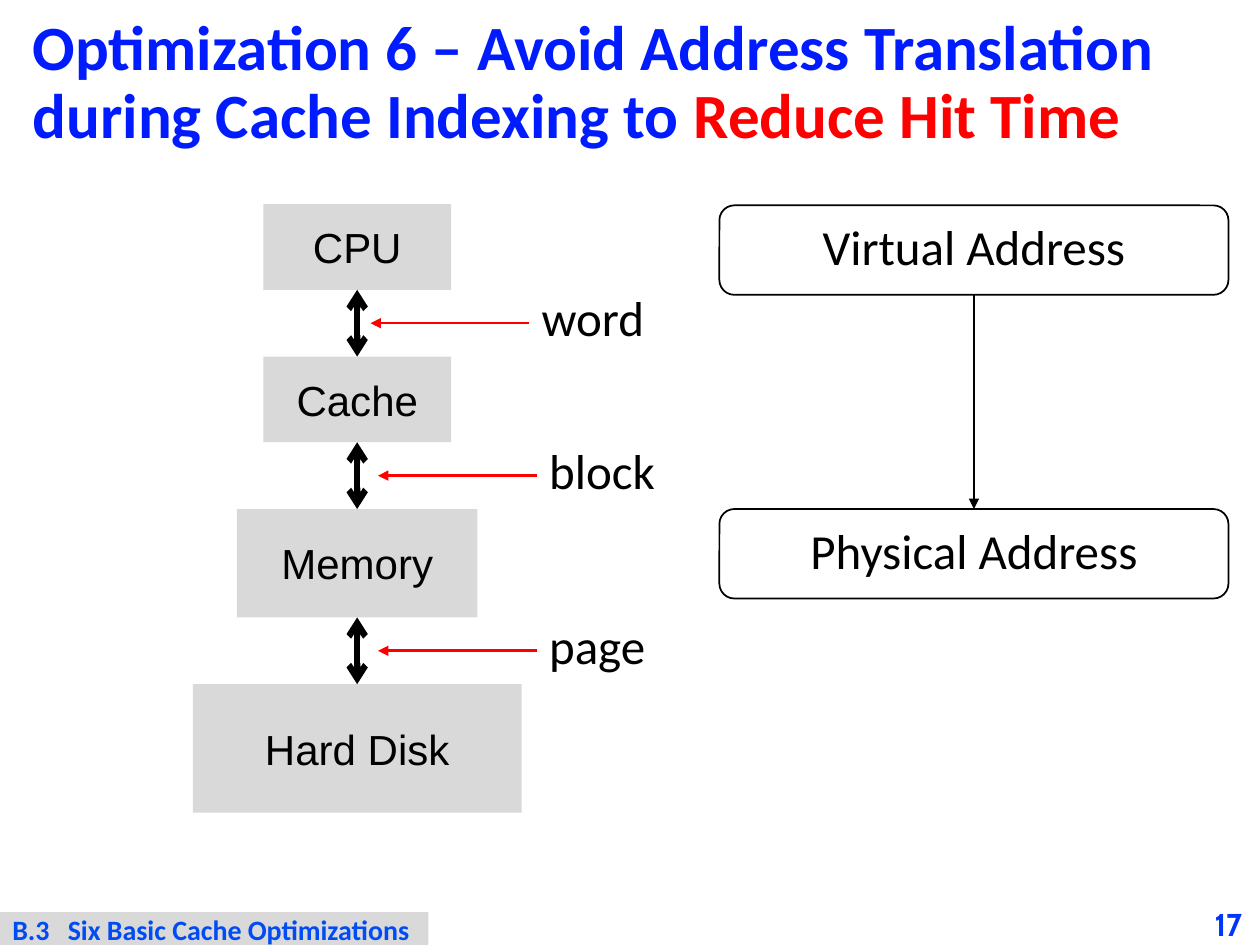
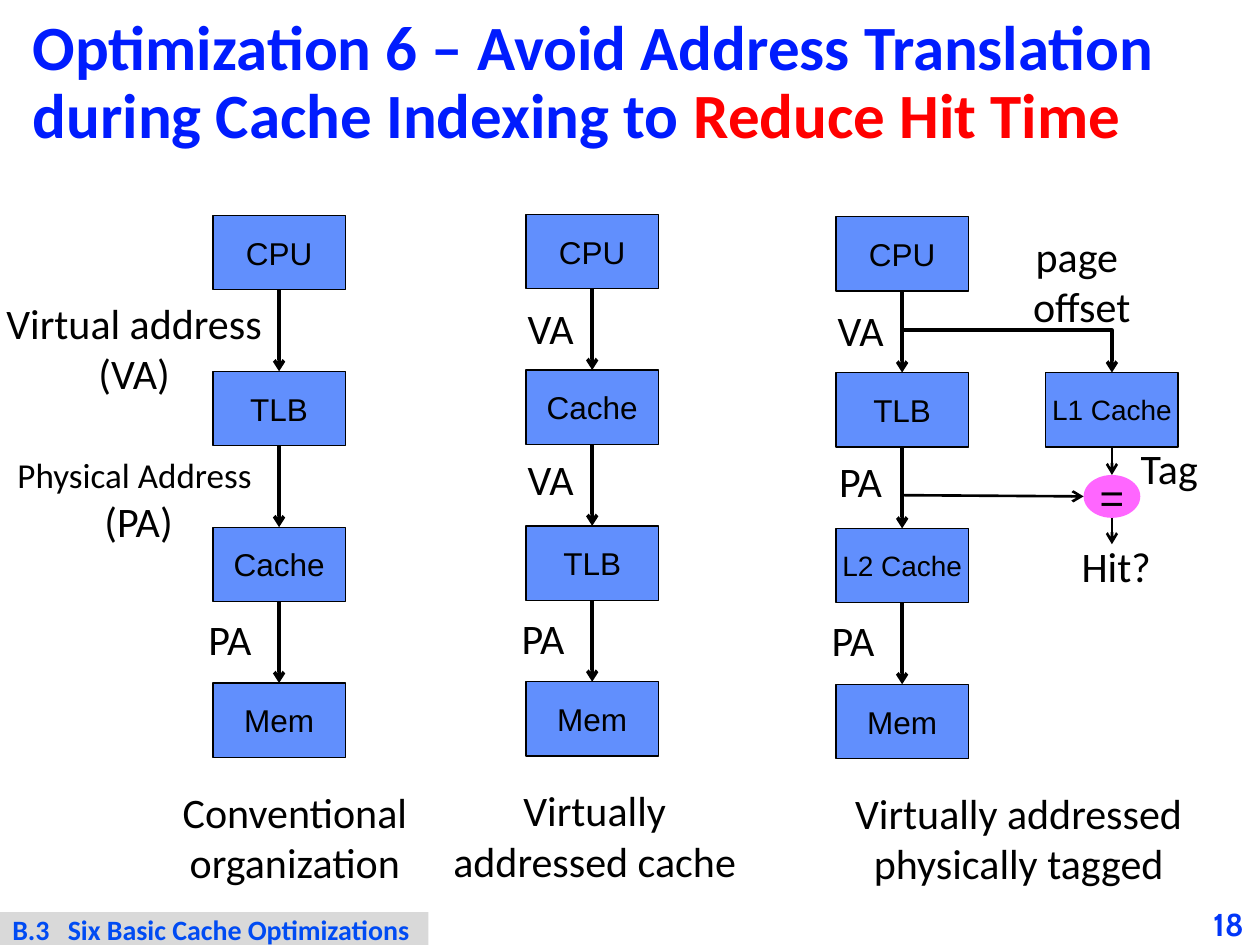
from dataclasses import dataclass
from itertools import pairwise

from lxml.etree import SubElement
from pptx import Presentation
from pptx.dml.color import RGBColor
from pptx.enum.shapes import MSO_CONNECTOR, MSO_SHAPE
from pptx.enum.text import MSO_ANCHOR, MSO_AUTO_SIZE, PP_ALIGN
from pptx.oxml.ns import qn
from pptx.util import Inches, Pt


@dataclass(frozen=True)
class Theme:
    heading: str = "001CFE"
    accent: str = "FF0000"
    section: str = "004BF3"
    page: str = "0136F8"
    ink: str = "000000"
    paper: str = "FFFFFF"
    grey: str = "D9D9D9"
    blue: str = "618FFD"
    pink: str = "FF66FF"
    text_font: str = "Calibri"
    node_font: str = "Arial"
    page_font: str = "Cabin"
    title_size: int = 36
    large: int = 28
    medium: int = 24
    small: int = 20
    node_size: int = 18
    fine: int = 16


THEME = Theme()
WIDTH, HEIGHT = Inches(10), Inches(7.5)
COLUMN, ROW = WIDTH / 100, HEIGHT / 75


@dataclass(frozen=True)
class Box:
    left: float
    top: float
    width: float
    height: float

    def inside(self, column, row, width, height):
        return Box(self.left + column, self.top + row, width, height)

    def point(self, column, row):
        return self.left + column, self.top + row

    def emu(self):
        return (round(self.left * COLUMN), round(self.top * ROW),
                round(self.width * COLUMN), round(self.height * ROW))


def write(frame, *paragraphs, size=THEME.medium, font=THEME.text_font,
          color=THEME.ink, bold=False, align=PP_ALIGN.CENTER,
          anchor=MSO_ANCHOR.TOP, wrap=True, spacing=None, margins=(0.1, 0.05)):
    frame.auto_size = MSO_AUTO_SIZE.NONE
    frame.word_wrap = wrap
    frame.vertical_anchor = anchor
    frame.margin_left = frame.margin_right = Inches(margins[0])
    frame.margin_top = frame.margin_bottom = Inches(margins[1])
    for index, content in enumerate(paragraphs):
        paragraph = frame.add_paragraph() if index else frame.paragraphs[0]
        paragraph.alignment = align
        if spacing:
            paragraph.line_spacing = spacing
        runs = [(content, {})] if isinstance(content, str) else content
        for words, changes in runs:
            run = paragraph.add_run()
            run.text = words
            run.font.name = font
            run.font.bold = bold
            run.font.size = Pt(changes.get("size", size))
            run.font.color.rgb = RGBColor.from_string(changes.get("color", color))


def add_label(slide, box, *paragraphs, **text_format):
    label = slide.shapes.add_textbox(*box.emu())
    write(label.text_frame, *paragraphs, **text_format)


def add_node(slide, box, name, fill, preset=MSO_SHAPE.RECTANGLE, line=0,
             **text_format):
    node = slide.shapes.add_shape(preset, *box.emu())
    node.shadow.inherit = False
    node.fill.solid()
    node.fill.fore_color.rgb = RGBColor.from_string(fill)
    if line:
        node.line.width = Pt(line)
        node.line.color.rgb = RGBColor.from_string(THEME.ink)
    else:
        node.line.fill.background()
    settings = dict(font=THEME.node_font, anchor=MSO_ANCHOR.MIDDLE, wrap=False)
    write(node.text_frame, name, **(settings | text_format))
    return node


def add_arrow(slide, start=(0, 0), end=(0, 0), begin_node=None, end_node=None,
              color=THEME.ink, width=1.5, head=None, tail="arrow", bent=False):
    kind = MSO_CONNECTOR.ELBOW if bent else MSO_CONNECTOR.STRAIGHT
    places = [round(value * unit) for point in (start, end)
              for value, unit in zip(point, (COLUMN, ROW))]
    arrow = slide.shapes.add_connector(kind, *places)
    if begin_node:
        arrow.begin_connect(begin_node, 2)
    if end_node:
        arrow.end_connect(end_node, 0)
    arrow.line.width = Pt(width)
    arrow.line.color.rgb = RGBColor.from_string(color)
    properties = arrow.element.spPr
    if bent:
        properties.find(qn("a:prstGeom")).set("prst", "bentConnector2")
    outline = properties.find(qn("a:ln"))
    for tag, shape_type in (("a:headEnd", head), ("a:tailEnd", tail)):
        if shape_type:
            SubElement(outline, qn(tag), type=shape_type)
    SubElement(properties, qn("a:effectLst"))


def place_title(slide, box):
    title = slide.shapes.title
    title.left, title.top, title.width, title.height = box.emu()
    write(title.text_frame,
          [("Optimization 6 – Avoid Address Translation during Cache Indexing to ", {}),
           ("Reduce Hit Time", {"color": THEME.accent})],
          size=THEME.title_size, color=THEME.heading, bold=True,
          align=PP_ALIGN.LEFT, anchor=MSO_ANCHOR.MIDDLE, spacing=0.9)


def place_footer(slide, box, number):
    section = add_node(slide, box.inside(0, 0.7, 34, 2.6),
                       "B.3\tSix Basic Cache Optimizations", THEME.grey,
                       size=THEME.fine, font=THEME.text_font, color=THEME.section,
                       bold=True, align=PP_ALIGN.LEFT, anchor=MSO_ANCHOR.TOP,
                       wrap=True, margins=(0.1, 0))
    properties = section.text_frame.paragraphs[0]._p.get_or_add_pPr()
    stops = SubElement(properties, qn("a:tabLst"))
    SubElement(stops, qn("a:tab"), pos=str(Inches(0.44)), algn="l")
    add_label(slide, box.inside(95, 0, 5, 3.3), str(number),
              size=THEME.node_size, font=THEME.page_font, color=THEME.page,
              bold=True, anchor=MSO_ANCHOR.MIDDLE, margins=(0, 0))


def add_slide(deck, number):
    slide = deck.slides.add_slide(deck.slide_layouts[5])
    place_title(slide, Box(1.6, 1.6, 96.8, 10.1))
    place_footer(slide, Box(0, 71.7, 100, 3.3), number)
    return slide


def place_hierarchy(slide, box):
    levels = [("CPU", 14.9, 6.8), ("Cache", 14.9, 6.8),
              ("Memory", 19.1, 8.6), ("Hard Disk", 26.1, 10.2)]
    transfers = [("word", 26.7), ("block", 27.3), ("page", 27.3)]
    gap = (box.height - sum(height for _, _, height in levels)) / len(transfers)
    nodes, gap_middles, row = [], [], 0
    for name, width, height in levels:
        place = box.inside((box.width - width) / 2, row, width, height)
        nodes.append(add_node(slide, place, name, THEME.grey))
        gap_middles.append(row + height + gap / 2)
        row += height + gap
    for upper, lower in pairwise(nodes):
        add_arrow(slide, begin_node=upper, end_node=lower, width=3.5, head="arrow")
    for (unit, column), middle in zip(transfers, gap_middles):
        add_label(slide, box.inside(column, middle - 3.3, 11.1, 5.7), unit,
                  size=THEME.large, align=PP_ALIGN.LEFT, wrap=False)
        add_arrow(slide, box.point(column, middle), box.point(column - 12.6, middle),
                  color=THEME.accent, tail="triangle")


def place_translation(slide, box):
    height = 7.1
    virtual, physical = [
        add_node(slide, box.inside(0, row, box.width, height), name, THEME.paper,
                 MSO_SHAPE.ROUNDED_RECTANGLE, line=1, size=THEME.large,
                 font=THEME.text_font, wrap=True, spacing=0.9)
        for name, row in (("Virtual Address", 0),
                          ("Physical Address", box.height - height))]
    add_arrow(slide, begin_node=virtual, end_node=physical, tail="triangle")


NODE_WIDTH, NODE_HEIGHT, PITCH = 10.5, 5.9, 12.37


def add_stage(slide, box, column, row, name):
    size = THEME.fine if len(name) > 5 else THEME.node_size
    return add_node(slide, box.inside(column, row, NODE_WIDTH, NODE_HEIGHT), name,
                    THEME.blue, line=0.75, size=size)


def place_organization(slide, box, stages, signals, caption, caption_column,
                       caption_width):
    nodes = [add_stage(slide, box, 0, index * PITCH, name)
             for index, name in enumerate(stages)]
    for upper, lower in pairwise(nodes):
        add_arrow(slide, begin_node=upper, end_node=lower, width=2)
    signal_places = [(-1.45, 6.5), (-1.45, 18.5), (-2.05, 31.1)]
    for signal, (column, row) in zip(signals, signal_places):
        if signal:
            add_label(slide, box.inside(column, row, 6.8, 5), signal)
    add_label(slide, box.inside(caption_column, 44.8, caption_width, 9.1), caption)


def place_address_names(slide, box):
    add_label(slide, box.inside(0.3, 0, 20.7, 9.1), "Virtual address", "(VA)",
              margins=(0, 0.05))
    add_label(slide, box.inside(0.1, 12.4, 21.8, 8.4),
              [("Physical Address ", {"size": THEME.small})], "(PA)")


def place_tag_check(slide, box):
    column = 16.65
    middle = column + NODE_WIDTH / 2
    l1_cache = add_stage(slide, box, column, PITCH, "L1 Cache")
    comparator = add_node(slide, box.inside(middle - 2.25, 20.5, 4.5, 3.4), "=",
                          THEME.pink, MSO_SHAPE.OVAL)
    add_arrow(slide, box.point(NODE_WIDTH / 2, 9), box.point(middle, PITCH),
              end_node=l1_cache, width=2, bent=True)
    add_arrow(slide, begin_node=l1_cache, end_node=comparator)
    add_arrow(slide, box.point(NODE_WIDTH / 2, 22.1), box.point(middle - 2.25, 22.2))
    add_arrow(slide, box.point(middle, 23.9), box.point(middle, 26))
    add_label(slide, box.inside(14.35, 0.6, 10.3, 9.1), "page ", "offset")
    add_label(slide, box.inside(23.05, 17.4, 6.8, 5), "Tag")
    add_label(slide, box.inside(17.95, 25.2, 8.6, 5), "Hit?")


def main():
    deck = Presentation()
    deck.slide_width, deck.slide_height = WIDTH, HEIGHT

    levels_slide = add_slide(deck, 17)
    place_hierarchy(levels_slide, Box(15.3, 16.2, 26.1, 48.3))
    place_translation(levels_slide, Box(57.1, 16.3, 40.4, 31.2))

    caches_slide = add_slide(deck, 18)
    tagged = Box(66.35, 17.2, NODE_WIDTH, 43)
    place_organization(caches_slide, Box(16.9, 17.1, NODE_WIDTH, 43),
                       ["CPU", "TLB", "Cache", "Mem"], [None, None, "PA"],
                       "Conventional organization", -6.7, 26.4)
    place_address_names(caches_slide, Box(0, 23.1, 22, 21))
    place_organization(caches_slide, Box(41.75, 17, NODE_WIDTH, 43),
                       ["CPU", "Cache", "TLB", "Mem"], ["VA", "VA", "PA"],
                       "Virtually addressed cache", -7.75, 26.4)
    place_organization(caches_slide, tagged,
                       ["CPU", "TLB", "L2 Cache", "Mem"], ["VA", "PA", "PA"],
                       "Virtually addressed physically tagged", -3.05, 35.1)
    place_tag_check(caches_slide, tagged)

    deck.save("out.pptx")


if __name__ == "__main__":
    main()
